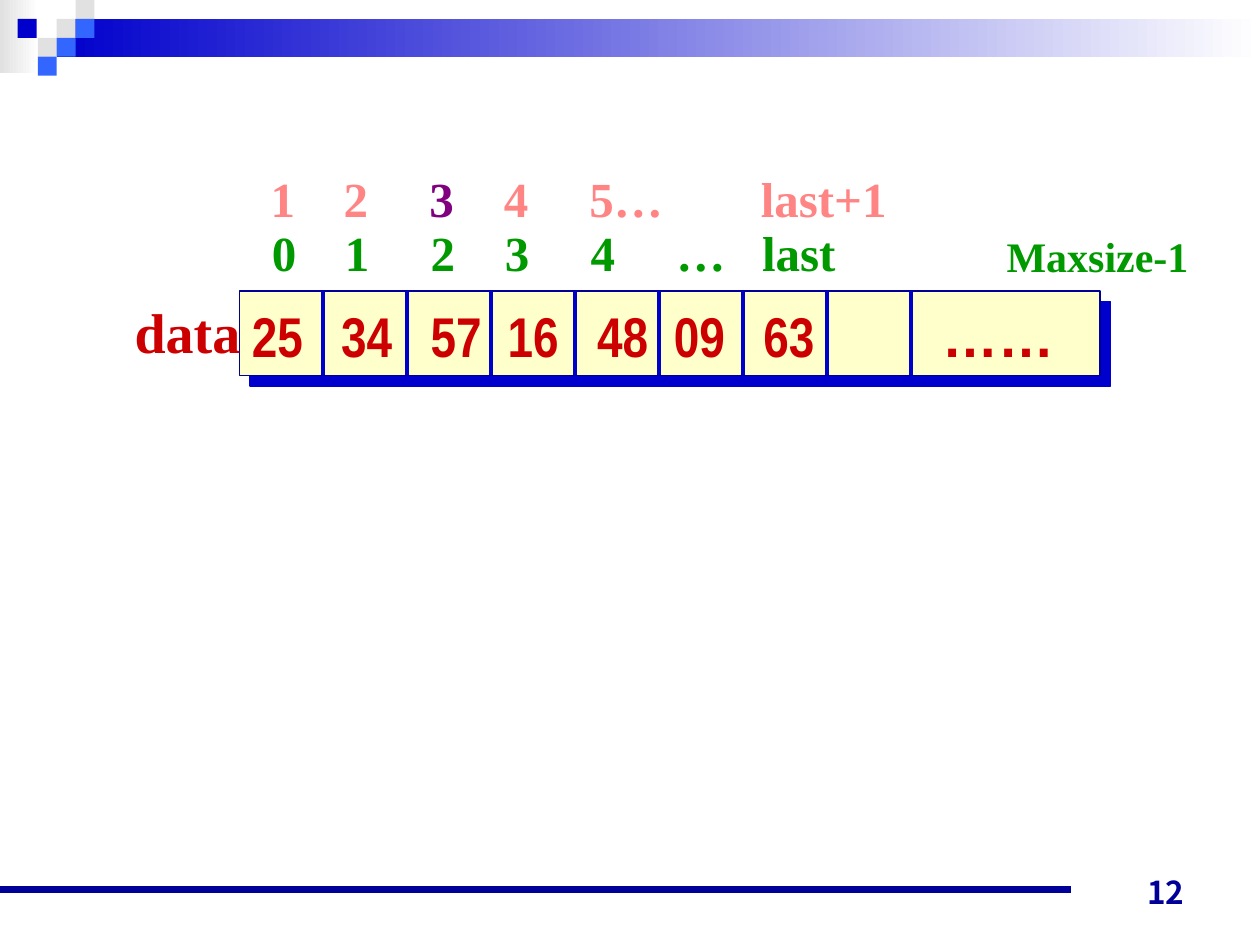
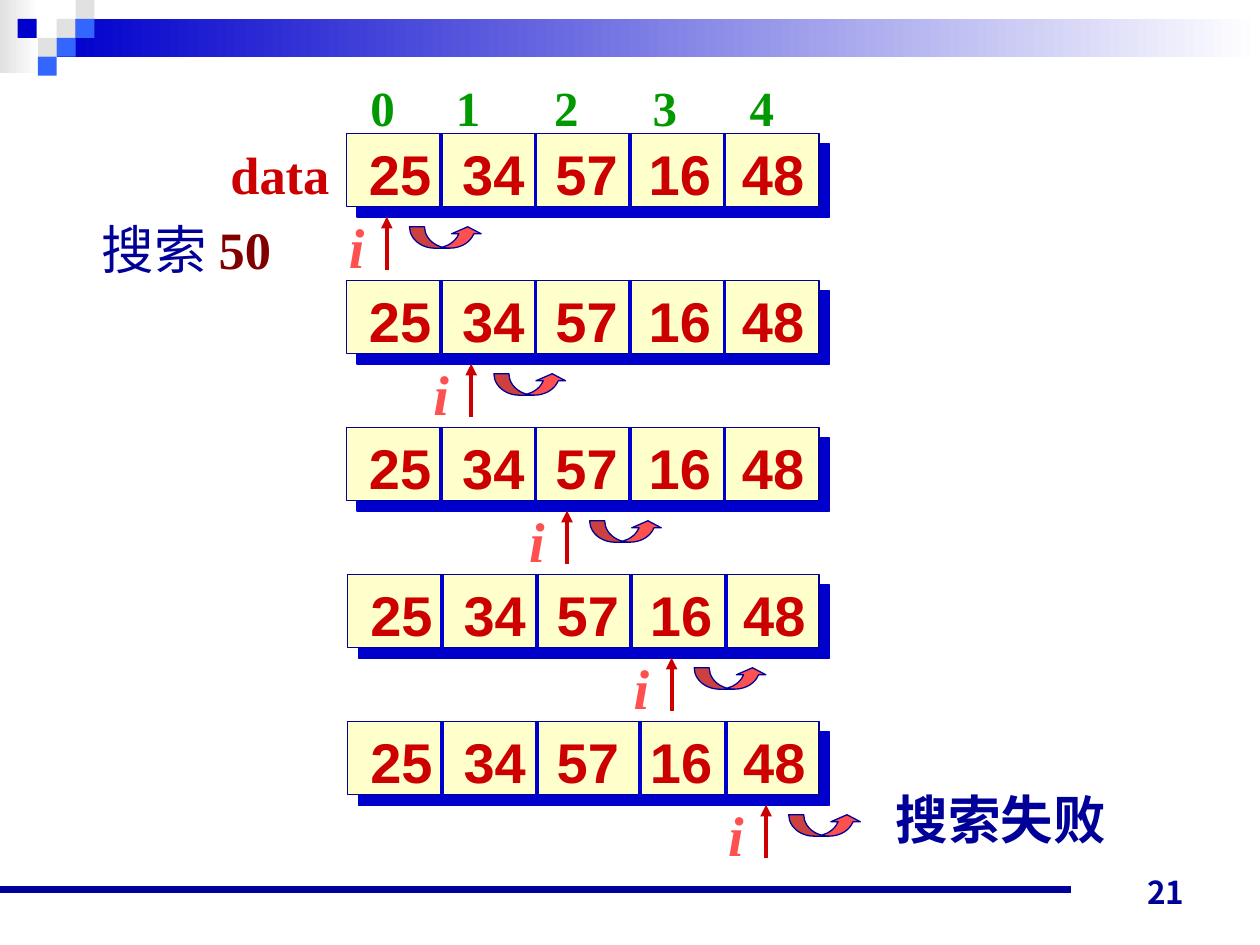
import pptx
import pptx.dml.color
import pptx.enum.shapes
import pptx.enum.text
import pptx.oxml.ns
import pptx.util
from lxml import etree

Inches = pptx.util.Inches
Pt = pptx.util.Pt
qn = pptx.oxml.ns.qn
SHAPES = pptx.enum.shapes.MSO_SHAPE

COLORS = {
    "navy": "000099", "blue": "0000CC", "sky": "3366FF", "grey": "E1E1E1",
    "white": "FFFFFF", "cream": "FFFFCC", "red": "CC0000", "coral": "FF5050",
    "pink": "FF8585", "purple": "800080", "green": "009900", "maroon": "800000",
}
SERIF = "Times New Roman"
SQUARE = 0.15
HEADER_SQUARES = [
    (0.45, 0.15, "grey"), (0.6, 0, "grey"), (0.6, 0.15, "sky"), (0.3, 0.3, "grey"),
    (0.14, 0.15, "blue"), (0.45, 0.3, "sky"), (0.3, 0.45, "sky"),
]
CELL_HEIGHT = 0.58
ROW_STEP = 3.5 / 3


def rgb(name):
    return pptx.dml.color.RGBColor.from_string(COLORS[name])


def add_rectangle(slide, left, top, width, height, color, fade_to=None):
    """Add a borderless rectangle, fading from left to right if fade_to is given."""
    shape = slide.shapes.add_shape(
        SHAPES.RECTANGLE, Inches(left), Inches(top), Inches(width), Inches(height))
    shape.shadow.inherit = False
    shape.line.fill.background()
    if fade_to:
        shape.fill.gradient()
        shape.fill.gradient_angle = 0
        for stop, name in zip(shape.fill.gradient_stops, (color, fade_to)):
            stop.color.rgb = rgb(name)
    else:
        shape.fill.solid()
        shape.fill.fore_color.rgb = rgb(color)
    return shape


def add_line(slide, start, end, color, weight, arrow=False):
    connector = slide.shapes.add_connector(
        pptx.enum.shapes.MSO_CONNECTOR.STRAIGHT, *map(Inches, start + end))
    connector.line.color.rgb = rgb(color)
    connector.line.width = Pt(weight)
    properties = connector._element.spPr
    if arrow:
        etree.SubElement(properties.find(qn("a:ln")), qn("a:tailEnd"), type="triangle")
    etree.SubElement(properties, qn("a:effectLst"))


def style_font(font, color=None, name=None, size=None, bold=None, italic=None):
    if color:
        font.color.rgb = rgb(color)
    if name:
        font.name = name
    if size:
        font.size = Pt(size)
    if bold is not None:
        font.bold = bold
    if italic is not None:
        font.italic = italic


def add_text(slide, left, top, width, height, runs, tabs=(), **font):
    """Add one line of text; runs is a string or (text, font changes) pairs, tabs are in inches."""
    box = slide.shapes.add_textbox(Inches(left), Inches(top), Inches(width), Inches(height))
    box.text_frame.word_wrap = True
    paragraph = box.text_frame.paragraphs[0]
    if tabs:
        tab_list = etree.SubElement(paragraph._p.get_or_add_pPr(), qn("a:tabLst"))
        for position in tabs:
            etree.SubElement(tab_list, qn("a:tab"), pos=str(Inches(position)), algn="l")
    style_font(paragraph.font, **font)
    for text, changes in [(runs, {})] if isinstance(runs, str) else runs:
        run = paragraph.add_run()
        run.text = text
        style_font(run.font, **changes)
    return box


def add_array(slide, left, top, width, height, dividers):
    """Add the array box with its hard shadow and the lines between its cells."""
    box = add_rectangle(slide, left, top, width, height, "cream")
    box.line.color.rgb = rgb("navy")
    box.line.width = Pt(0.75)
    shadow = etree.SubElement(
        box._element.spPr.find(qn("a:effectLst")), qn("a:outerShdw"),
        dist=str(Pt(8.5)), dir="2700000", algn="ctr", rotWithShape="0")
    etree.SubElement(shadow, qn("a:srgbClr"), val=COLORS["blue"])
    for x in dividers:
        add_line(slide, (x, top), (x, top + height), "blue", 2.25)


def add_curved_arrow(slide, left, top):
    arrow = slide.shapes.add_shape(
        SHAPES.CURVED_UP_ARROW, Inches(left), Inches(top), Inches(0.58), Inches(0.17))
    for index, value in enumerate((0.7, 1.38, 0.33)):
        arrow.adjustments[index] = value
    arrow.shadow.inherit = False
    arrow.fill.solid()
    arrow.fill.fore_color.rgb = rgb("coral")
    arrow.line.color.rgb = rgb("navy")
    arrow.line.width = Pt(0.75)


def add_slide(presentation, number):
    """Add a blank slide with the header band, footer line and page number."""
    slide = presentation.slides.add_slide(presentation.slide_layouts[6])
    add_rectangle(slide, 0, 0, 0.31, 0.58, "grey", "white")
    add_rectangle(slide, 0.45, 0.15, 9.55, 0.3, "blue", "white")
    for left, top, color in HEADER_SQUARES:
        add_rectangle(slide, left, top, SQUARE, SQUARE, color)
    add_line(slide, (0, 7.06), (8.5, 7.06), "navy", 4.5)
    box = add_text(slide, 7.17, 6.78, 2.33, 0.5, number,
                   color="navy", name="Noto Sans CJK JP", size=18, bold=True)
    box.text_frame.vertical_anchor = pptx.enum.text.MSO_ANCHOR.BOTTOM
    box.text_frame.paragraphs[0].alignment = pptx.enum.text.PP_ALIGN.RIGHT
    return slide


def add_storage_slide(presentation):
    slide = add_slide(presentation, "12")
    left, top, cell_width = 1.9, 2.31, 2 / 3
    add_array(slide, left, top, 6.83, 0.67, [left + cell_width * n for n in range(1, 9)])
    add_text(slide, left, 2.34, 6.74, 0.64,
             [("25\t34\t57\t16\t48\t09\t63\t", {}), ("……", {"name": "Arial"})],
             tabs=(0.71, 1.42, 2.03, 2.74, 3.35, 4.06, 5.48),
             color="red", name="Arial Narrow", size=32, bold=True)
    add_text(slide, 2.06, 1.72, 4.8, 0.57, "0\t1\t2\t3\t4\t…\tlast",
             tabs=(0.58, 1.26, 1.85, 2.53, 3.21, 3.89),
             color="green", name=SERIF, size=28, bold=True)
    add_text(slide, 0.97, top, 1.14, 0.64, "data", color="red", name=SERIF, size=32, bold=True)
    add_text(slide, 2.05, 1.29, 5.5, 0.57,
             [("1\t2\t", {"color": "pink"}), ("3", {"color": "purple"}),
              ("\t4\t5…\tlast+1", {"color": "pink"})],
             tabs=(0.58, 1.26, 1.85, 2.53, 3.89), name=SERIF, size=28, bold=True)
    add_text(slide, 7.89, 1.78, 1.75, 0.5, "Maxsize-1",
             color="green", name=SERIF, size=24, bold=True)


def add_search_step(slide, top, left, pointer, third_shift=0):
    """Add one array row and the pointer i below it, with its jump to the next cell."""
    dividers = [left + 0.75 * n for n in range(1, 5)]
    dividers[2] += third_shift
    add_array(slide, left, top, 6.5 - left, CELL_HEIGHT, dividers)
    add_text(slide, left + 0.08, top, 3.75, 0.64, "25\t34\t57\t16\t48",
             tabs=[0.74 * n for n in range(1, 5)],
             color="red", name="Arial", size=32, bold=True)
    add_line(slide, (pointer, top + 1.08), (pointer, top + 0.66), "red", 2.25, arrow=True)
    add_text(slide, pointer - 0.4, top + CELL_HEIGHT, 0.35, 0.64, "i",
             color="coral", name=SERIF, size=32, bold=True, italic=True)
    add_curved_arrow(slide, pointer + 0.18, top + 0.74)


def add_search_slide(presentation):
    slide = add_slide(presentation, "21")
    steps = [(2.75, 3.07), (2.75, 3.74), (2.75, 4.5), (2.76, 5.33), (2.76, 6.08, 0.07)]
    for row, step in enumerate(steps):
        add_search_step(slide, 1.06 + ROW_STEP * row, *step)
    add_text(slide, 2.84, 0.57, 3.55, 0.57, "0\t1\t2\t3\t4", tabs=(0.68, 1.46, 2.24, 3.01),
             color="green", name=SERIF, size=28, bold=True)
    add_text(slide, 1.73, 1.08, 1.1, 0.6, "data", color="red", name=SERIF, size=30, bold=True)
    add_text(slide, 0.71, 1.67, 1.9, 0.6,
             [("搜索 ", {"color": "navy"}), ("50", {"color": "maroon", "bold": True})],
             name=SERIF, size=30)
    add_text(slide, 7.01, 6.2, 2, 0.6, "搜索失败",
             color="navy", name=SERIF, size=30, bold=True)


def main():
    presentation = pptx.Presentation()
    presentation.slide_width = Inches(10)
    presentation.slide_height = Inches(7.5)
    add_storage_slide(presentation)
    add_search_slide(presentation)
    presentation.save("out.pptx")


if __name__ == "__main__":
    main()
